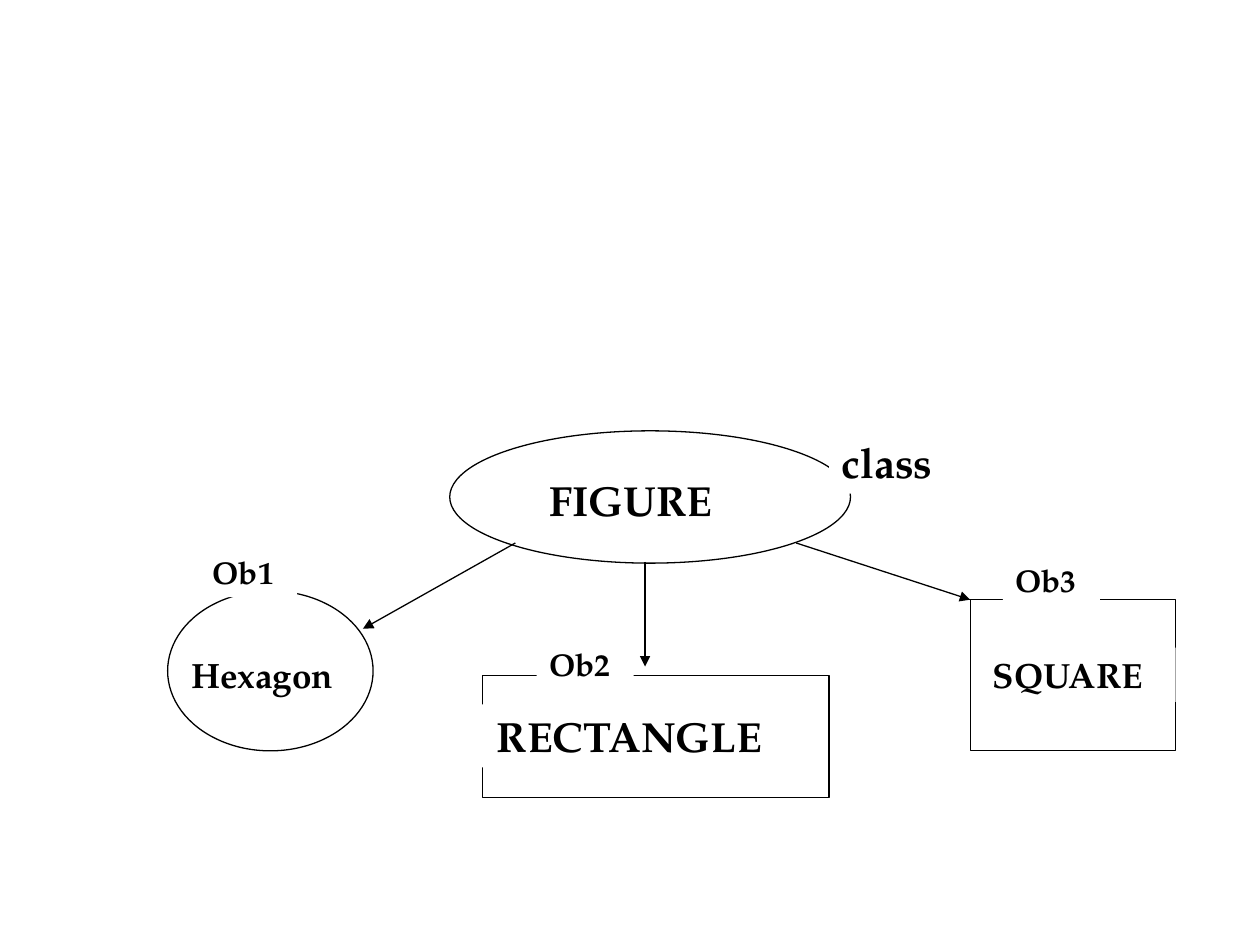
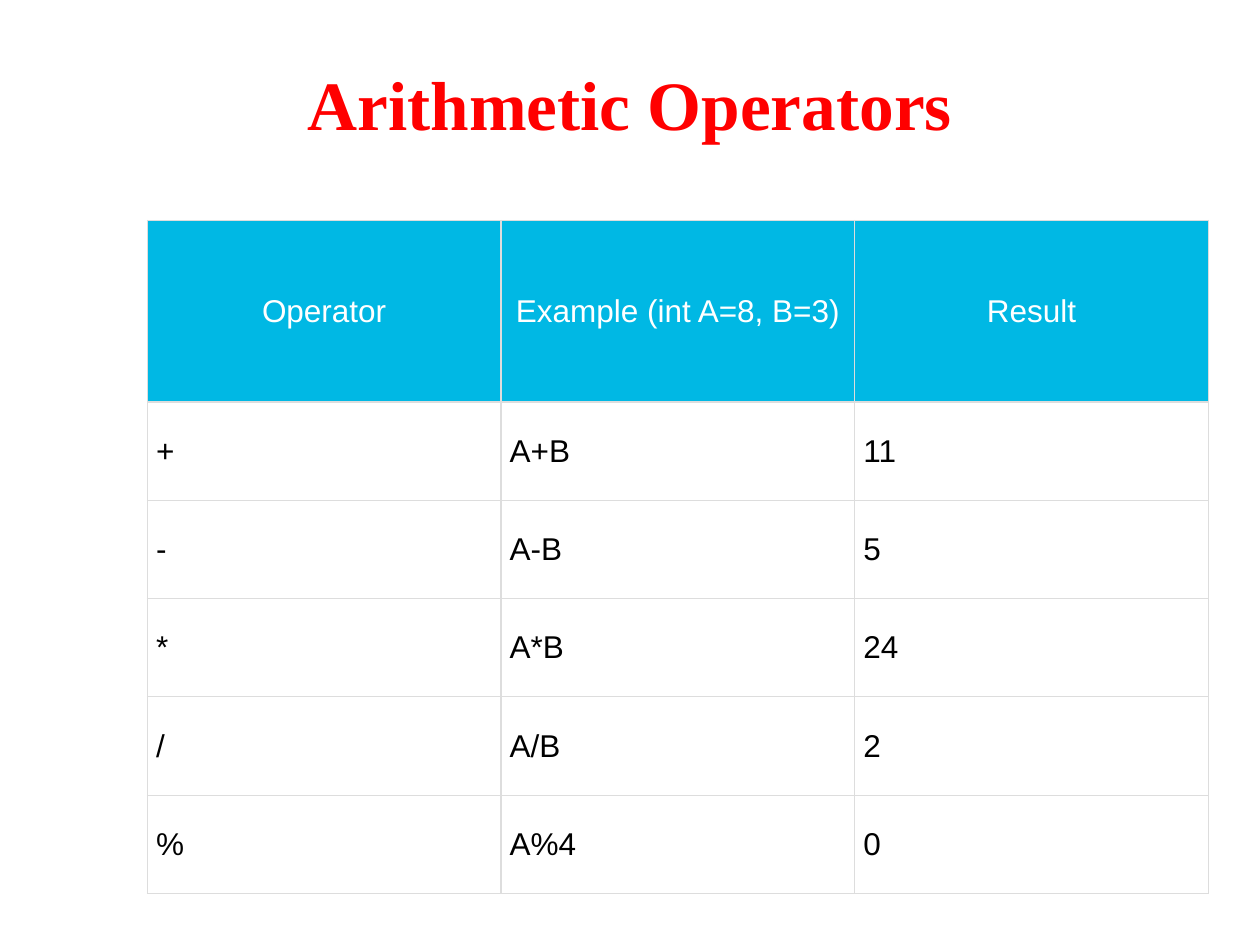
from dataclasses import dataclass
from lxml.etree import SubElement
from pptx import Presentation
from pptx.dml.color import RGBColor
from pptx.enum.shapes import MSO_CONNECTOR, MSO_SHAPE
from pptx.enum.text import MSO_ANCHOR, PP_ALIGN
from pptx.oxml.ns import qn
from pptx.util import Pt


@dataclass(frozen=True)
class Theme:
    black: RGBColor = RGBColor(0, 0, 0)
    white: RGBColor = RGBColor(255, 255, 255)
    red: RGBColor = RGBColor(255, 0, 0)
    cyan: RGBColor = RGBColor(0, 184, 228)
    grid: str = "DDDDDD"
    serif: str = "TeX Gyre Pagella"
    heading: str = "Times New Roman"
    sans: str = "Arial"
    title: float = 39.6
    large: float = 24
    medium: float = 20
    small: float = 18
    line: float = 0.75


theme = Theme()


def write(frame, text, size, face, color, bold=False, align=PP_ALIGN.LEFT):
    para = frame.paragraphs[0]
    para.alignment = align
    run = para.add_run()
    run.text = text
    run.font.size = Pt(size)
    run.font.name = face
    run.font.bold = bold
    run.font.color.rgb = color


def label(slide, text, size, box, align=PP_ALIGN.LEFT, top=3.6):
    """Add bold text on a white box that masks the outlines behind it."""
    shape = slide.shapes.add_textbox(*map(Pt, box))
    shape.fill.solid()
    shape.fill.fore_color.rgb = theme.white
    frame = shape.text_frame
    frame.word_wrap = True
    frame.margin_top = Pt(top)
    write(frame, text, size, theme.serif, theme.black, True, align)


deck = Presentation()
deck.slide_width, deck.slide_height = Pt(720), Pt(540)
blank = deck.slide_layouts[6]

# Class and its objects
slide = deck.slides.add_slide(blank)
oval, rect = MSO_SHAPE.OVAL, MSO_SHAPE.RECTANGLE
left, center = PP_ALIGN.LEFT, PP_ALIGN.CENTER
figures = [
    (oval, (257, 246.2, 229, 75.6), "FIGURE", theme.large, (306.7, 267.8, 123.8, 36), left),
    (oval, (95.8, 337.7, 117.4, 91.4), "Hexagon", theme.medium, (102.2, 370.1, 105.1, 31), left),
    (rect, (275.8, 385.9, 198, 69.8), "RECTANGLE", theme.large, (263.5, 402.5, 192.2, 36), center),
    (rect, (554.4, 342.7, 117.4, 86.4), "SQUARE", theme.medium, (560.2, 370.1, 111.6, 31), left),
]
for kind, box, name, size, spot, align in figures:
    shape = slide.shapes.add_shape(kind, *map(Pt, box))
    shape.shadow.inherit = False
    shape.fill.solid()
    shape.fill.fore_color.rgb = theme.white
    shape.line.color.rgb = theme.black
    shape.line.width = Pt(theme.line)
    label(slide, name, size, spot, align)

arrows = [
    (294.5, 310.3, 207.4, 359.3),
    (368.6, 321.1, 368.6, 380.9),
    (455, 310.3, 554.4, 342.7),
]
for ends in arrows:
    arrow = slide.shapes.add_connector(MSO_CONNECTOR.STRAIGHT, *map(Pt, ends))
    arrow.line.color.rgb = theme.black
    arrow.line.width = Pt(theme.line)
    SubElement(arrow.line._get_or_add_ln(), qn("a:tailEnd"), type="triangle")
    SubElement(arrow._element.spPr, qn("a:effectLst"))

label(slide, "Ob1", theme.small, (114.5, 316.1, 55.4, 25.2), top=0)
label(slide, "Ob2", theme.small, (306.7, 365, 55.4, 28.8))
label(slide, "Ob3", theme.small, (573.1, 316.8, 55.4, 28.8))
label(slide, "class", theme.large, (473.8, 246.2, 86.4, 36))

# Arithmetic operators
slide = deck.slides.add_slide(blank)
title = slide.shapes.add_textbox(Pt(36), Pt(21.6), Pt(648), Pt(74.2)).text_frame
title.word_wrap = True
title.vertical_anchor = MSO_ANCHOR.MIDDLE
write(title, "Arithmetic Operators", theme.title, theme.heading, theme.red, True, center)

rows = [
    ("Operator", "Example (int A=8, B=3)", "Result"),
    ("+", "A+B", "11"),
    ("-", "A-B", "5"),
    ("*", "A*B", "24"),
    ("/", "A/B", "2"),
    ("%", "A%4", "0"),
]
head, body, wide = 103.7, 56.2, 202.1
high = head + body * (len(rows) - 1)
table = slide.shapes.add_table(
    len(rows), 3, Pt(84.2), Pt(126), Pt(wide * 3), Pt(high)
).table
table.horz_banding = False
for col in table.columns:
    col.width = Pt(wide)
for r, texts in enumerate(rows):
    first = r == 0
    table.rows[r].height = Pt(head if first else body)
    for c, text in enumerate(texts):
        cell = table.cell(r, c)
        cell.vertical_anchor = MSO_ANCHOR.MIDDLE
        cell.margin_left = cell.margin_right = Pt(5)
        cell.margin_top = cell.margin_bottom = Pt(7.2 if first else 5)
        write(cell.text_frame, text, theme.small, theme.sans,
              theme.white if first else theme.black,
              align=center if first else left)
        props = cell._tc.get_or_add_tcPr()
        for side in ("lnL", "lnR", "lnT", "lnB"):
            edge = SubElement(props, qn(f"a:{side}"), w=str(Pt(theme.line)))
            fill = SubElement(edge, qn("a:solidFill"))
            SubElement(fill, qn("a:srgbClr"), val=theme.grid)
        cell.fill.solid()
        cell.fill.fore_color.rgb = theme.cyan if first else theme.white

deck.save("out.pptx")
